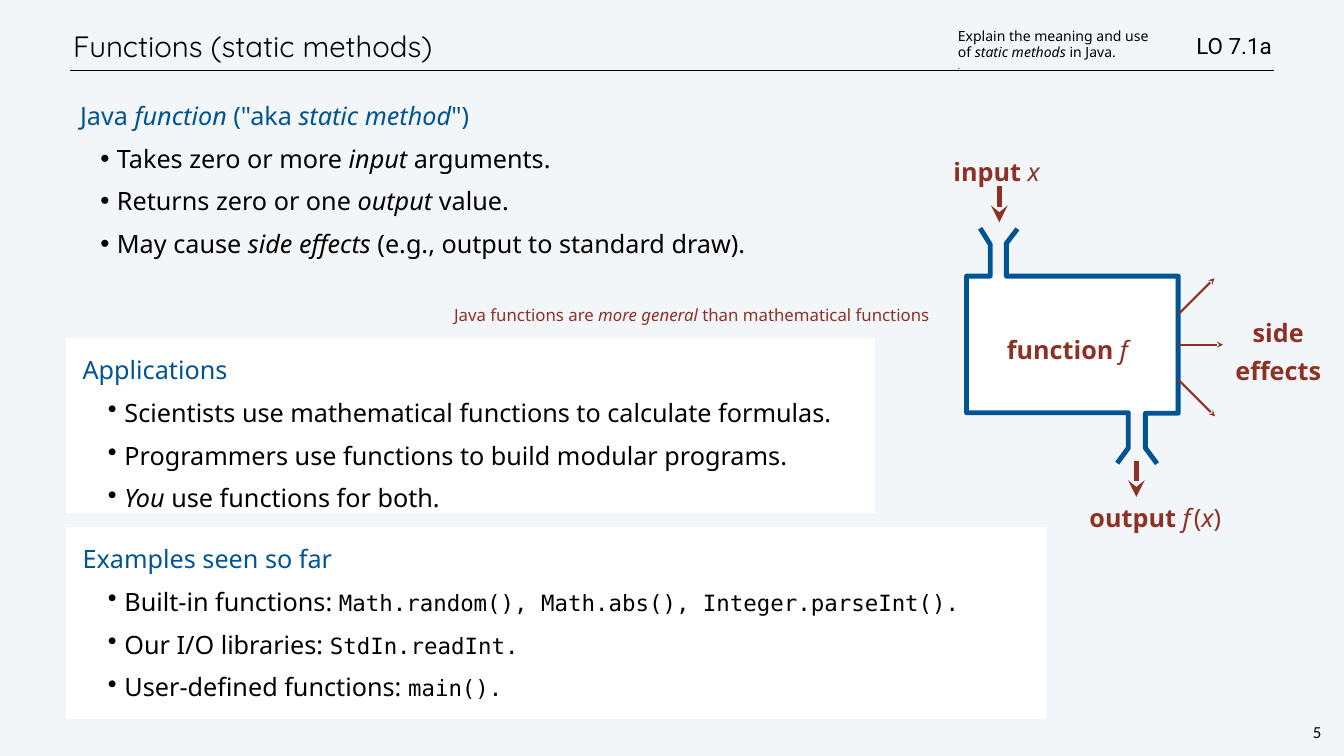
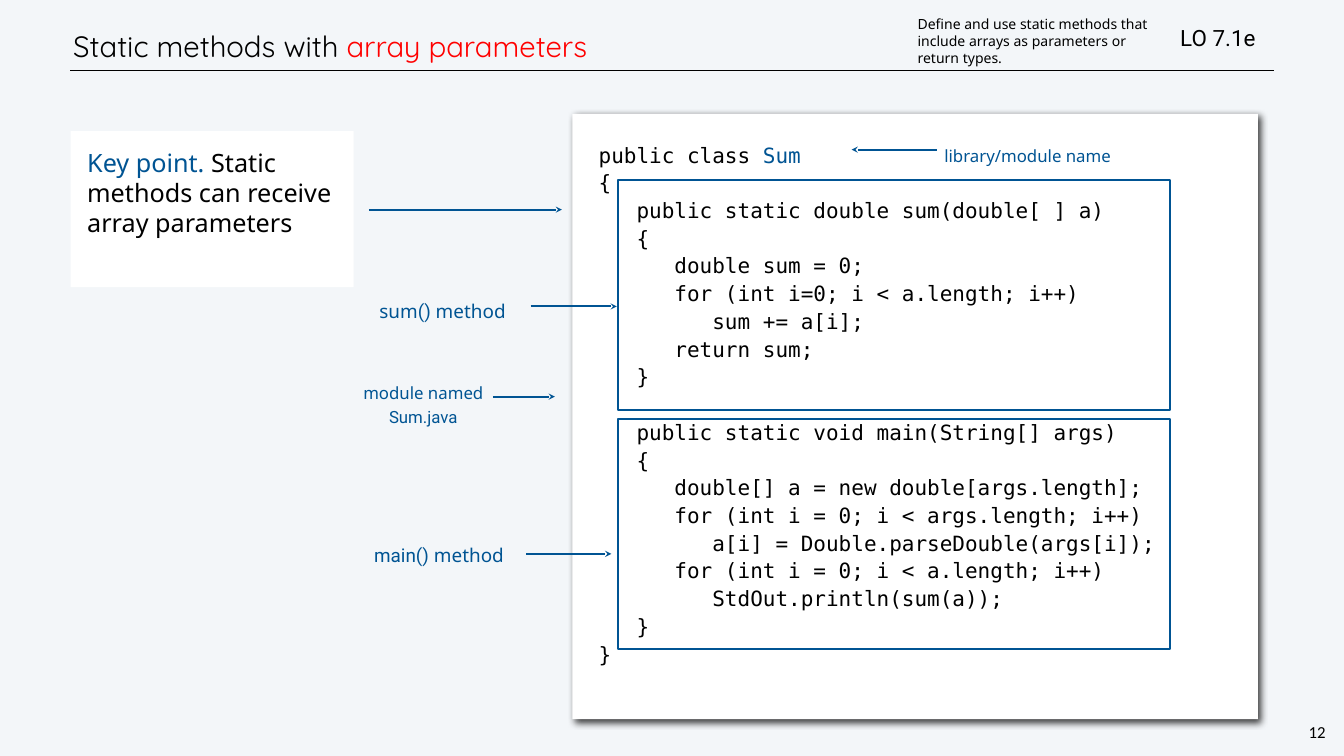
import dataclasses
from typing import NamedTuple, Optional, Sequence

import lxml.etree
import pptx
import pptx.dml.color
import pptx.enum.shapes
import pptx.enum.text
import pptx.oxml.ns
import pptx.util

ALIGN = pptx.enum.text.PP_ALIGN
ANCHOR = pptx.enum.text.MSO_ANCHOR
FIT = pptx.enum.text.MSO_AUTO_SIZE
qn = pptx.oxml.ns.qn

# The grid has square cells, 150 rows to the height of the slide
COLUMNS, ROWS = 266.7, 150
SLIDE_HEIGHT = pptx.util.Inches(15)


def cells(count: float) -> int:
    return round(count * SLIDE_HEIGHT / ROWS)


# Theme
@dataclasses.dataclass(frozen=True)
class Theme:
    paper: str = "F3F6F9"
    panel: str = "FFFFFF"
    ink: str = "000000"
    blue: str = "005493"
    brick: str = "8D3124"
    red: str = "FF0000"
    sans: str = "Noto Sans"
    mono: str = "DejaVu Sans Mono"
    heading: str = "Quicksand"
    plain: str = "Roboto"
    number: str = "Calibri"
    title_size: float = 42
    body_size: float = 36
    inline_code_size: float = 32
    listing_size: float = 30
    method_size: float = 27
    note_size: float = 24
    objective_size: float = 20
    full_stop_size: float = 12


THEME = Theme()


class Box(NamedTuple):
    column: float
    row: float
    columns: float
    rows: float


class Arrow(NamedTuple):
    start: tuple[float, float]
    end: tuple[float, float]
    color: str = THEME.blue
    width: float = 3


class Run(NamedTuple):
    text: str
    italic: bool = False
    bold: bool = False
    color: Optional[str] = None
    font: Optional[str] = None
    size: Optional[float] = None
    tracking: float = 0


@dataclasses.dataclass(frozen=True)
class Style:
    size: float = THEME.body_size
    color: str = THEME.ink
    font: str = THEME.sans
    align: ALIGN = ALIGN.LEFT
    line: object = None
    before: float = 0
    left: float = 0
    indent: float = 0
    level: int = 0
    bullet: str = ""


class Para(NamedTuple):
    style: Style
    runs: Sequence[Run]


@dataclasses.dataclass(frozen=True)
class Label:
    box: Box
    paras: Sequence[Para]
    inset: Sequence[float] = (0.6,) * 4
    wrap: bool = True
    grow: bool = True
    anchor: ANCHOR = ANCHOR.TOP


# Paragraph styles
BODY_LINE = pptx.util.Pt(43)
DEFAULT_INSET = (1, 0.5, 1, 0.5)
TITLE = Style(THEME.title_size, font=THEME.heading, line=pptx.util.Pt(50))
HEAD = Style(color=THEME.blue, line=BODY_LINE)
TOPIC = dataclasses.replace(HEAD, indent=1)
BULLET = Style(line=BODY_LINE, before=18, left=8.3, indent=-3.3, level=1, bullet="•")
DIAGRAM = Style(color=THEME.brick, line=BODY_LINE, indent=1, level=1)
EFFECT = dataclasses.replace(DIAGRAM, align=ALIGN.CENTER)
ASIDE = Style(THEME.note_size, THEME.brick, align=ALIGN.CENTER, line=pptx.util.Pt(36))
NOTE = Style(THEME.note_size, THEME.blue, line=1.2)
MODULE = dataclasses.replace(NOTE, align=ALIGN.CENTER)
METHOD = dataclasses.replace(MODULE, size=THEME.method_size)
LISTING = Style(THEME.listing_size, font=THEME.mono, line=1.1, left=0.1)
NEXT_METHOD = dataclasses.replace(LISTING, before=39.6)
OBJECTIVE = Style(THEME.objective_size)
FULL_STOP = Style(THEME.full_stop_size)
GOAL = Style(THEME.inline_code_size, font=THEME.plain)
PAGE = Style(THEME.note_size, font=THEME.number, align=ALIGN.CENTER, line=pptx.util.Pt(28))


# Drawing
def rgb(color: str) -> pptx.dml.color.RGBColor:
    return pptx.dml.color.RGBColor.from_string(color)


def place(shape, box: Box) -> None:
    shape.left, shape.top, shape.width, shape.height = map(cells, box)


def write_para(paragraph, para: Para) -> None:
    style = para.style
    props = paragraph._p.get_or_add_pPr()
    props.set("marL", str(cells(style.left)))
    props.set("indent", str(cells(style.indent)))
    if style.bullet:
        lxml.etree.SubElement(props, qn("a:buSzPct"), val="104000")
        lxml.etree.SubElement(props, qn("a:buChar"), char=style.bullet)
    else:
        lxml.etree.SubElement(props, qn("a:buNone"))
    paragraph.level = style.level
    paragraph.alignment = style.align
    paragraph.line_spacing = style.line or 1.0
    paragraph.space_before = pptx.util.Pt(style.before)
    for part in para.runs:
        run = paragraph.add_run()
        run.text = part.text
        run.font.name = part.font or style.font
        run.font.size = pptx.util.Pt(part.size or style.size)
        run.font.color.rgb = rgb(part.color or style.color)
        run.font.bold, run.font.italic = part.bold, part.italic
        if part.tracking:
            run._r.get_or_add_rPr().set("spc", str(round(part.tracking * 100)))


def write(shape, label: Label) -> None:
    frame = shape.text_frame
    frame.word_wrap = label.wrap
    frame.auto_size = FIT.SHAPE_TO_FIT_TEXT if label.grow else FIT.NONE
    frame.vertical_anchor = label.anchor
    (frame.margin_left, frame.margin_top,
     frame.margin_right, frame.margin_bottom) = map(cells, label.inset)
    for index, para in enumerate(label.paras):
        write_para(frame.add_paragraph() if index else frame.paragraphs[0], para)


def add_label(slide, label: Label) -> None:
    write(slide.shapes.add_textbox(*map(cells, label.box)), label)


def fill_placeholder(placeholder, label: Label) -> None:
    place(placeholder, label.box)
    write(placeholder, label)


def add_rect(slide, box: Box, fill: Optional[str] = None, outline: Optional[str] = None):
    rect = slide.shapes.add_shape(pptx.enum.shapes.MSO_SHAPE.RECTANGLE, *map(cells, box))
    rect.shadow.inherit = False
    if fill:
        rect.fill.solid()
        rect.fill.fore_color.rgb = rgb(fill)
    else:
        rect.fill.background()
    if outline:
        rect.line.color.rgb = rgb(outline)
        rect.line.width = pptx.util.Pt(3)
    else:
        rect.line.fill.background()
    return rect


def add_panel(slide, box: Box, paras: Sequence[Para], inset: float = 3.3):
    panel = add_rect(slide, box, THEME.panel)
    write(panel, Label(box, paras, (inset,) * 4, grow=False))
    return panel


def cast_shadow(shape) -> None:
    effects = shape._element.spPr.find(qn("a:effectLst"))
    shadow = lxml.etree.SubElement(
        effects, qn("a:outerShdw"), blurRad=str(pptx.util.Pt(10)),
        dist=str(pptx.util.Pt(6)), dir=str(45 * 60000), rotWithShape="0")
    color = lxml.etree.SubElement(shadow, qn("a:srgbClr"), val=THEME.ink)
    lxml.etree.SubElement(color, qn("a:alpha"), val="75000")


def add_line(slide, line: Arrow, pointed: bool = True) -> None:
    connector = slide.shapes.add_connector(
        pptx.enum.shapes.MSO_CONNECTOR.STRAIGHT, *map(cells, line.start + line.end))
    connector.line.color.rgb = rgb(line.color)
    connector.line.width = pptx.util.Pt(line.width)
    if pointed:
        lxml.etree.SubElement(connector.line._get_or_add_ln(), qn("a:tailEnd"), type="stealth")
    lxml.etree.SubElement(connector._element.spPr, qn("a:effectLst"))


def add_outline(slide, points: Sequence[tuple[float, float]]) -> None:
    start, *rest = [(cells(x), cells(y)) for x, y in points]
    builder = slide.shapes.build_freeform(*start)
    builder.add_line_segments(rest, close=False)
    outline = builder.convert_to_shape()
    outline.shadow.inherit = False
    outline.fill.background()
    outline.line.color.rgb = rgb(THEME.blue)
    outline.line.width = pptx.util.Pt(7)


# Shared header and page number
def start_slide(deck, layout: int, page: str, title: Sequence[Run], goal: Label, objective: Label):
    slide = deck.slides.add_slide(deck.slide_layouts[layout])
    fill_placeholder(slide.shapes.title, Label(
        Box(13.9, 4.2, 226.2, 9.9), [Para(TITLE, title)], grow=False, anchor=ANCHOR.MIDDLE))
    add_line(slide, Arrow((13.9, 14), (252.8, 14), THEME.ink, 1), pointed=False)
    add_label(slide, Label(Box(259.2, 142.9, 4.3, 4.7), [Para(PAGE, [Run(page)])],
                           (0.4,) * 4, wrap=False))
    add_label(slide, goal)
    add_label(slide, objective)
    return slide


def goal_label(box: Box, text: str) -> Label:
    return Label(box, [Para(GOAL, [Run(text)])], anchor=ANCHOR.MIDDLE)


def code(text: str) -> Run:
    return Run(text, font=THEME.mono, size=THEME.inline_code_size)


def bullets(*items: Sequence[Run]) -> list[Para]:
    return [Para(BULLET, item) for item in items]


# Slide: what a function is
def build_functions(deck) -> None:
    slide = start_slide(
        deck, 1, "5", [Run("Functions (static methods)")],
        goal_label(Box(236.8, 5.8, 29.9, 6.5), "LO 7.1a"),
        Label(Box(189.1, 4.9, 46, 9.8), [
            Para(OBJECTIVE, [Run("Explain the meaning and use of "),
                             Run("static methods ", italic=True), Run("in Java.")]),
            Para(FULL_STOP, [Run(".")])], (1, 0.5, 5, 0.5)))
    fill_placeholder(slide.placeholders[1], Label(Box(13.9, 19.4, 163.5, 37.4), [
        Para(TOPIC, [Run("Java "), Run("function", italic=True), Run(" (\"aka "),
                     Run("static method", italic=True), Run("\")")]),
        *bullets(
            [Run("Takes zero or more "), Run("input", italic=True), Run(" arguments.")],
            [Run("Returns zero or one "), Run("output", italic=True), Run(" value.")],
            [Run("May cause "), Run("side effects", italic=True),
             Run(" (e.g., output to standard draw).")])], DEFAULT_INSET, grow=False))
    add_panel(slide, Box(13.1, 67.1, 160.5, 34.7), [
        Para(HEAD, [Run("Applications")]),
        *bullets([Run("Scientists use mathematical functions to calculate formulas.")],
                 [Run("Programmers use functions to build modular programs.")],
                 [Run("You", italic=True), Run(" use functions for both.")])])
    add_panel(slide, Box(13.1, 104.6, 194.6, 38.1), [
        Para(HEAD, [Run("Examples seen so far")]),
        *bullets([Run("Built-in functions: "),
                  code("Math.random(), Math.abs(), Integer.parseInt().")],
                 [Run("Our I/O libraries: "), code("StdIn.readInt.")],
                 [Run("User-defined functions: "), code("main().")])])

    # Function machine with its funnel and spout
    add_rect(slide, Box(191.4, 54.6, 41.8, 27.4), THEME.panel)
    add_outline(slide, [(194.5, 45.3), (196.5, 48.5), (196.5, 54.8), (191.8, 54.8),
                        (191.8, 81.9), (223.9, 81.9), (223.9, 88.9), (221.7, 91.9)])
    add_outline(slide, [(201.9, 45.4), (199.7, 48.3), (199.7, 54.8), (233.8, 54.8),
                        (233.8, 82), (227.3, 82), (227.3, 88.9), (229.6, 92)])
    for x, y in ((198.3, 36.9), (225.5, 91.4)):
        add_line(slide, Arrow((x, y), (x, y + 7.2), THEME.brick, 8))
    for y, end in ((62.4, (241, 55.2)), (68.4, (242.7, 68.4)), (75.3, (241.1, 82.6))):
        add_line(slide, Arrow((233.8, y), end, THEME.brick))

    f = Run("f", italic=True, tracking=4.7)
    x = Run("x", italic=True)
    for box, runs, wrap in (
            (Box(187.6, 30.4, 20.1, 7.1), [Run("input ", bold=True), x], False),
            (Box(214.6, 99.1, 29.5, 7.1),
             [Run("output ", bold=True), f, Run("("), x, Run(")")], False),
            (Box(198.2, 65.7, 27.8, 7.1), [Run("function ", bold=True), f], False)):
        add_label(slide, Label(box, [Para(DIAGRAM, runs)], wrap=wrap))
    add_label(slide, Label(Box(243.3, 62.3, 19.7, 14.7), [
        Para(EFFECT, [Run("side", bold=True)]),
        Para(dataclasses.replace(EFFECT, before=12), [Run("effects", bold=True)])], wrap=False))
    add_label(slide, Label(Box(83.7, 57.6, 107.1, 7.1), [Para(ASIDE, [
        Run("Java functions are "), Run("more general ", italic=True),
        Run("than mathematical functions")])], (1.9,) * 4, grow=False))


SUM_METHOD = """\
   public static double sum(double[ ] a)
   {
      double sum = 0;
      for (int i=0; i < a.length; i++)
         sum += a[i];
      return sum;
   }"""
MAIN_METHOD = """\
   public static void main(String[] args)
   {
      double[] a = new double[args.length];
      for (int i = 0; i < args.length; i++)
         a[i] = Double.parseDouble(args[i]);
      for (int i = 0; i < a.length; i++)
         StdOut.println(sum(a));
   }"""


# Slide: a module whose methods take arrays
def build_array_parameters(deck) -> None:
    slide = start_slide(
        deck, 5, "12", [Run("Static methods with "), Run("array parameters", color=THEME.red)],
        goal_label(Box(233.6, 4.2, 29.9, 6.5), "LO 7.1e"),
        Label(Box(181.1, 2.6, 50.9, 11.1), [Para(OBJECTIVE, [Run(
            "Define and use static methods that include arrays as parameters or return types.")])],
            DEFAULT_INSET))
    main_head, *main_rest = MAIN_METHOD.splitlines()
    listing = [Para(LISTING, [Run("public class "), Run("Sum", color=THEME.blue)])]
    listing += [Para(LISTING, [Run(line)]) for line in ["{", *SUM_METHOD.splitlines()]]
    listing.append(Para(NEXT_METHOD, [Run(main_head)]))
    listing += [Para(LISTING, [Run(line)]) for line in [*main_rest, "}"]]
    cast_shadow(add_panel(slide, Box(113.6, 22.6, 136, 120.1), listing, 5.1))
    for row in (35.8, 83.1):
        add_rect(slide, Box(122.6, row, 109.6, 45.6), outline=THEME.blue)
    add_panel(slide, Box(14, 26, 56.2, 31), [Para(HEAD, [
        Run("Key point. "),
        Run("Static methods can receive array parameters", color=THEME.ink)])])

    # Callouts
    wide = (1.7,) * 4
    for label in (
            Label(Box(64.2, 74.6, 39.6, 10.4), [
                Para(MODULE, [Run("module named")]),
                Para(MODULE, [Run("Sum.java", font=THEME.plain)])]),
            Label(Box(73.2, 56.9, 30.2, 8.3), [Para(METHOD, [
                Run("sum"), Run("()", font=THEME.plain), Run(" method ")])], wide, wrap=False),
            Label(Box(70.9, 105.2, 33.4, 9.4), [Para(METHOD, [
                Run("main()", font=THEME.plain), Run(" method ")])], wide, grow=False),
            Label(Box(186.8, 27.6, 39.6, 5), [Para(NOTE, [Run("library/module name")])])):
        add_label(slide, label)
    for start, end, row in ((97.8, 110.1, 78.7), (105.3, 122.4, 60.8), (104.4, 121.3, 109.9),
                            (73.2, 111.5, 41.6), (185.9, 169, 29.7)):
        add_line(slide, Arrow((start, row), (end, row)))


def main() -> None:
    deck = pptx.Presentation()
    deck.slide_width, deck.slide_height = cells(COLUMNS), SLIDE_HEIGHT
    paper = deck.slide_master.background.fill
    paper.solid()
    paper.fore_color.rgb = rgb(THEME.paper)
    build_functions(deck)
    build_array_parameters(deck)
    deck.save("out.pptx")


if __name__ == "__main__":
    main()
